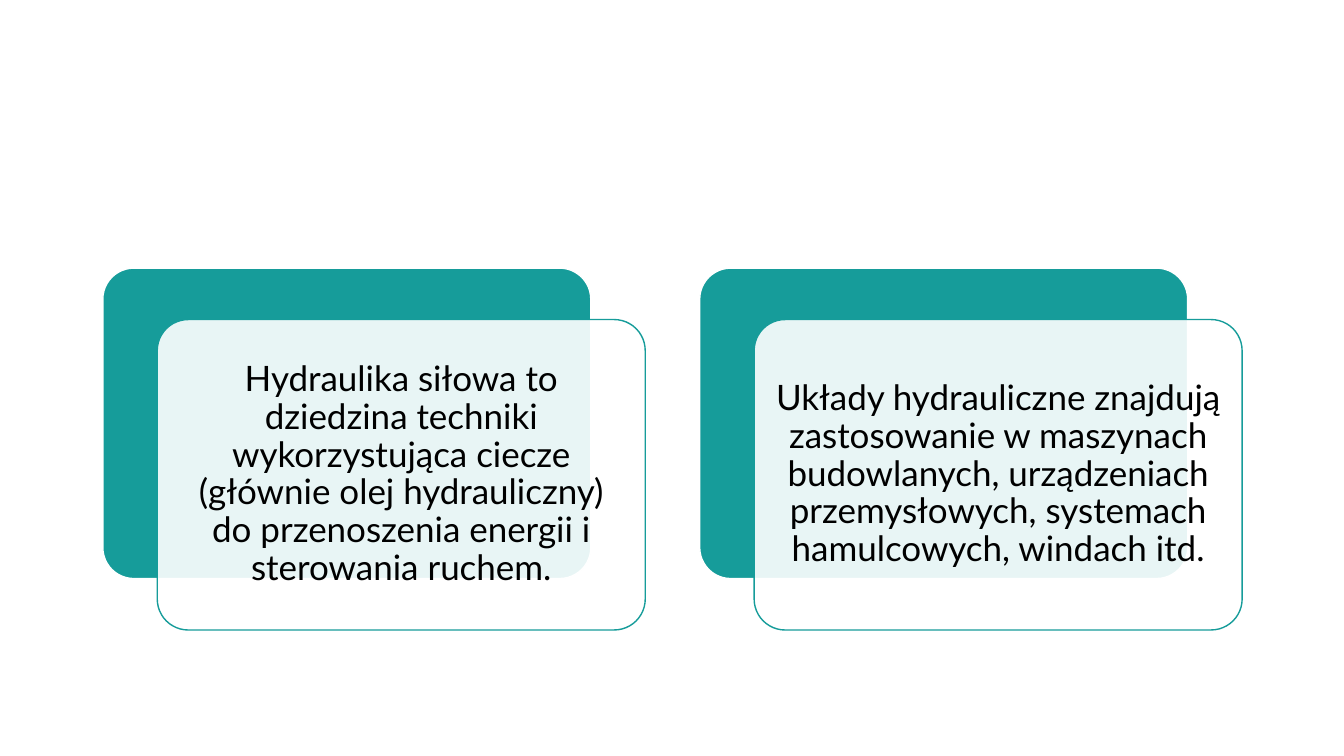
from lxml import etree
from pptx import Presentation
from pptx.dml.color import RGBColor
from pptx.enum.shapes import MSO_SHAPE
from pptx.enum.text import MSO_ANCHOR, PP_ALIGN
from pptx.oxml.ns import qn
from pptx.util import Emu, Pt

ROUND = MSO_SHAPE.ROUNDED_RECTANGLE
MIDDLE = MSO_ANCHOR.MIDDLE
CENTER = PP_ALIGN.CENTER
TEAL, WHITE, BLACK = "169C9A", "FFFFFF", "000000"

CARDS = [
    "Hydraulika siłowa to dziedzina techniki wykorzystująca ciecze "
    "(głównie olej hydrauliczny) do przenoszenia energii i sterowania ruchem.",
    "Układy hydrauliczne znajdują zastosowanie w maszynach budowlanych, "
    "urządzeniach przemysłowych, systemach hamulcowych, windach itd.",
]
LEFT, TOP, STEP = 102, 266, 592
WIDE, HIGH = 484, 308
SHIFT_X, SHIFT_Y = 54, 51
PAD, INSET = 9, 10


def px(n):
    return Emu(n * 9144)


def color(code):
    return RGBColor.from_string(code)


def add_panel(shapes, x, y, w, h, fill, line, alpha=None):
    panel = shapes.add_shape(ROUND, px(x), px(y), px(w), px(h))
    panel.adjustments[0] = 0.1
    panel.shadow.inherit = False
    panel.fill.solid()
    panel.fill.fore_color.rgb = color(fill)
    panel.line.color.rgb = color(line)
    panel.line.width = Pt(1)
    if alpha is not None:
        tint = panel._element.spPr.find(qn("a:solidFill")).find(qn("a:srgbClr"))
        etree.SubElement(tint, qn("a:alpha")).set("val", str(alpha * 1000))


def add_text(shapes, text, x, y, w, h, size=25, font="Lato", ink=BLACK):
    frame = shapes.add_textbox(px(x), px(y), px(w), px(h)).text_frame
    frame.word_wrap = True
    frame.vertical_anchor = MIDDLE
    frame.margin_left = frame.margin_right = px(INSET)
    frame.margin_top = frame.margin_bottom = px(INSET)
    para = frame.paragraphs[0]
    para.alignment = CENTER
    para.line_spacing = 0.9
    run = para.add_run()
    run.text = text
    run.font.size = Pt(size)
    run.font.name = font
    run.font.color.rgb = color(ink)


def add_card(slide, text, x, y, w, h):
    shapes = slide.shapes.add_group_shape().shapes
    add_panel(shapes, x, y, w, h, TEAL, WHITE)
    x, y = x + SHIFT_X, y + SHIFT_Y
    add_panel(shapes, x, y, w, h, WHITE, TEAL, alpha=90)
    add_text(shapes, text, x + PAD, y + PAD, w - 2 * PAD, h - 2 * PAD)


def main():
    deck = Presentation()
    deck.slide_width, deck.slide_height = px(1333), px(750)
    slide = deck.slides.add_slide(deck.slide_layouts[6])
    for i, text in enumerate(CARDS):
        add_card(slide, text, LEFT + i * STEP, TOP, WIDE, HIGH)
    deck.save("out.pptx")


if __name__ == "__main__":
    main()
